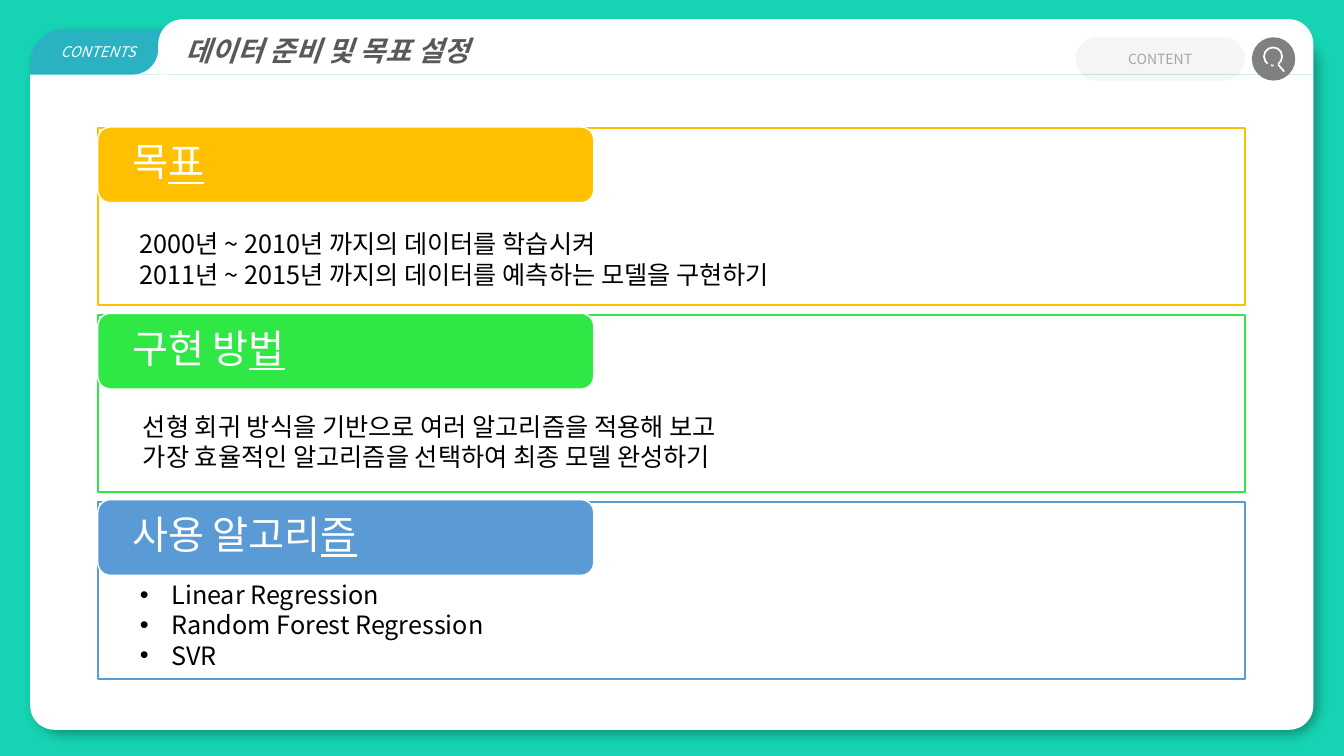
import dataclasses
import math

import lxml.etree
import pptx
import pptx.dml.color
import pptx.enum.shapes
import pptx.enum.text
import pptx.oxml
import pptx.oxml.ns
import pptx.util

Pt = pptx.util.Pt
qn = pptx.oxml.ns.qn
Preset = pptx.enum.shapes.MSO_SHAPE
Align = pptx.enum.text.PP_ALIGN
Anchor = pptx.enum.text.MSO_ANCHOR


@dataclasses.dataclass(frozen=True)
class Theme:
    """Colours, font and type sizes of the slide."""
    font: str = "Noto Sans CJK KR"
    background: str = "16D3B3"
    tab: str = "28B2C2"
    white: str = "FFFFFF"
    black: str = "000000"
    title: str = "595959"
    search_text: str = "A6A6A6"
    search_button: str = "808080"
    goal: str = "FFC000"
    method: str = "30E845"
    algorithm: str = "5B9BD5"
    title_size: float = 20
    heading_size: float = 28
    body_size: float = 18
    label_size: float = 10.5
    search_size: float = 10


THEME = Theme()


def rgb(color):
    """Turn a hex string into a colour."""
    return pptx.dml.color.RGBColor.from_string(color)


def add_child(parent, tag, **attributes):
    """Append an XML child with the given attributes."""
    child = lxml.etree.SubElement(parent, qn(tag))
    for name, value in attributes.items():
        child.set(name, str(value))
    return child


def paint(shape, fill=None, line=None, width=1, opacity=100):
    """Set fill, outline and opacity, without a shadow."""
    shape.shadow.inherit = False
    if fill:
        shape.fill.solid()
        shape.fill.fore_color.rgb = rgb(fill)
        if opacity < 100:
            color = shape.fill._xPr.find(qn("a:solidFill"))[0]
            add_child(color, "a:alpha", val=opacity * 1000)
    else:
        shape.fill.background()
    if line:
        shape.line.color.rgb = rgb(line)
        shape.line.width = Pt(width)
    else:
        shape.line.fill.background()


def add_preset(slide, preset, box, adjustments=(), **style):
    """Add a preset shape in a box given in points."""
    shape = slide.shapes.add_shape(preset, *map(Pt, box))
    for index, value in enumerate(adjustments):
        shape.adjustments[index] = value
    paint(shape, **style)
    return shape


def add_shadow(shape):
    """Give a shape a soft shadow to the lower right."""
    effects = shape.element.spPr.find(qn("a:effectLst"))
    shadow = add_child(effects, "a:outerShdw", blurRad=Pt(8), dist=Pt(6),
                       dir=45 * 60000, algn="tl", rotWithShape=0)
    color = add_child(shadow, "a:srgbClr", val=THEME.black)
    add_child(color, "a:alpha", val=28000)


def format_run(run, size, color, bold=False, italic=False):
    """Set the font of a run for Latin and Korean text."""
    font = run.font
    font.size, font.bold, font.italic = Pt(size), bold, italic
    font.color.rgb = rgb(color)
    font.name = THEME.font
    add_child(run._r.get_or_add_rPr(), "a:ea", typeface=THEME.font)


def write(shape, text, size, color, align=Align.LEFT, anchor=Anchor.MIDDLE, **style):
    """Fill a shape with text and format every run."""
    frame = shape.text_frame
    frame.text = text
    frame.word_wrap = True
    frame.vertical_anchor = anchor
    for paragraph in frame.paragraphs:
        paragraph.alignment = align
        for run in paragraph.runs:
            format_run(run, size, color, **style)
    return frame


def add_text(slide, box, text, size, color, **style):
    """Add a text box in a box given in points."""
    shape = slide.shapes.add_textbox(*map(Pt, box))
    return write(shape, text, size, color, **style)


def add_tab_curve(slide):
    """Add the curved joint between the contents tab and the title bar."""
    radius, center_y, top = 18, 35.28, 33.84
    inner, outer = 95.04, 117.36
    angles = [math.radians(step * 7.5) for step in range(13)]

    def arc(center_x):
        return [(center_x + radius * math.sin(angle), center_y + radius * math.cos(angle))
                for angle in angles]

    points = arc(outer) + [(outer + radius, top), (inner + radius, top)] + arc(inner)[::-1]
    points = [(Pt(x), Pt(y)) for x, y in points]
    builder = slide.shapes.build_freeform(*points[0])
    builder.add_line_segments(points[1:], close=True)
    paint(builder.convert_to_shape(), fill=THEME.white)


def add_frame(slide):
    """Add the white page with its contents tab."""
    page = add_preset(slide, Preset.ROUND_2_SAME_RECTANGLE, (21.6, 20.88, 916.56, 500.4),
                      (0.049, 0.042), fill=THEME.tab)
    add_shadow(page)
    add_preset(slide, Preset.ROUND_2_SAME_RECTANGLE, (21.6, 53.28, 916.56, 468),
               (0, 0.037), fill=THEME.white)
    add_tab_curve(slide)
    add_preset(slide, Preset.ROUND_2_SAME_RECTANGLE, (113.04, 13.68, 825.12, 39.6),
               (0.448, 0), fill=THEME.white)
    add_text(slide, (33.12, 27.36, 74.16, 20.16), "CONTENTS", THEME.label_size,
             THEME.white, align=Align.CENTER, anchor=Anchor.TOP, italic=True)


def add_title(slide, text):
    """Place the title placeholder over the title bar."""
    title = slide.shapes.title
    title.left, title.top, title.width, title.height = map(Pt, (113.04, 18.8, 640, 34.48))
    frame = write(title, text, THEME.title_size, THEME.title, bold=True, italic=True)
    frame.auto_size = pptx.enum.text.MSO_AUTO_SIZE.NONE
    frame.margin_left = Pt(19.6)
    frame.paragraphs[0].line_spacing = 1.0
    title.element.getparent().append(title.element)


def add_search(slide):
    """Add the search field and its magnifier button."""
    field = add_preset(slide, Preset.ROUNDED_RECTANGLE, (768.24, 26.64, 120.96, 30.96),
                       (0.5,), fill=THEME.black, opacity=4)
    write(field, "CONTENT", THEME.search_size, THEME.search_text, align=Align.CENTER)
    add_preset(slide, Preset.OVAL, (894.24, 26.64, 30.96, 30.96), fill=THEME.search_button)
    for angles in ((76.615, 32.909), (51.71, 61.635)):
        add_preset(slide, Preset.ARC, (902.88, 33.84, 12.96, 12.96), angles,
                   line=THEME.white, width=1.25)
    handle = slide.shapes.add_connector(pptx.enum.shapes.MSO_CONNECTOR.STRAIGHT,
                                        *map(Pt, (912.96, 46.08, 917.28, 51.12)))
    handle.line.color.rgb = rgb(THEME.white)
    handle.line.width = Pt(1.25)
    add_child(handle.element.spPr, "a:effectLst")


def add_section(slide, index, heading, color):
    """Add an outlined panel with a coloured heading tab."""
    top = 91.44 + index * 133.6
    tab_top = 90.72 + index * 133.1
    add_preset(slide, Preset.RECTANGLE, (69.84, top, 819.36, 126.72),
               fill=THEME.white, line=color, width=1.5, opacity=90)
    add_preset(slide, Preset.ROUNDED_RECTANGLE, (69.84, tab_top, 354.24, 54),
               fill=color, line=THEME.white)
    frame = add_text(slide, (72.72, tab_top + 2.5, 349.2, 48.24), heading[:-1],
                     THEME.heading_size, THEME.white)
    frame.margin_left = frame.margin_right = Pt(21.6)
    frame.margin_top = frame.margin_bottom = 0
    paragraph = frame.paragraphs[0]
    paragraph.line_spacing = 0.9
    last = paragraph.add_run()
    last.text = heading[-1]
    format_run(last, THEME.heading_size, THEME.white)
    last.font.underline = True


def add_body(slide, left, top, lines, bulleted=False):
    """Add the body lines of a section, with bullets if asked."""
    frame = add_text(slide, (left, top, 514.08, 3.6 * 2 + 21.8 * len(lines)),
                     "\n".join(lines), THEME.body_size, THEME.black, anchor=Anchor.TOP)
    for paragraph in frame.paragraphs if bulleted else ():
        properties = paragraph._p.get_or_add_pPr()
        properties.set("marL", str(Pt(22.5)))
        properties.set("indent", str(-Pt(22.5)))
        add_child(properties, "a:buFont", typeface="Arial")
        add_child(properties, "a:buChar", char="•")


def main():
    """Build the slide and save it."""
    presentation = pptx.Presentation()
    presentation.slide_width, presentation.slide_height = Pt(960), Pt(540)
    slide = presentation.slides.add_slide(presentation.slide_layouts[5])
    slide.background.fill.solid()
    slide.background.fill.fore_color.rgb = rgb(THEME.background)
    add_frame(slide)
    add_title(slide, "데이터 준비 및 목표 설정")
    add_search(slide)
    sections = (("목표", THEME.goal), ("구현 방법", THEME.method),
                ("사용 알고리즘", THEME.algorithm))
    for index, (heading, color) in enumerate(sections):
        add_section(slide, index, heading, color)
    add_body(slide, 92.88, 159.84, ("2000년 ~ 2010년 까지의 데이터를 학습시켜",
                                    "2011년 ~ 2015년 까지의 데이터를 예측하는 모델을 구현하기"))
    add_body(slide, 95.04, 290.16, ("선형 회귀 방식을 기반으로 여러 알고리즘을 적용해 보고",
                                    "가장 효율적인 알고리즘을 선택하여 최종 모델 완성하기"))
    add_body(slide, 92.88, 410.4, ("Linear Regression", "Random Forest Regression", "SVR"),
             bulleted=True)
    presentation.save("out.pptx")


if __name__ == "__main__":
    main()
